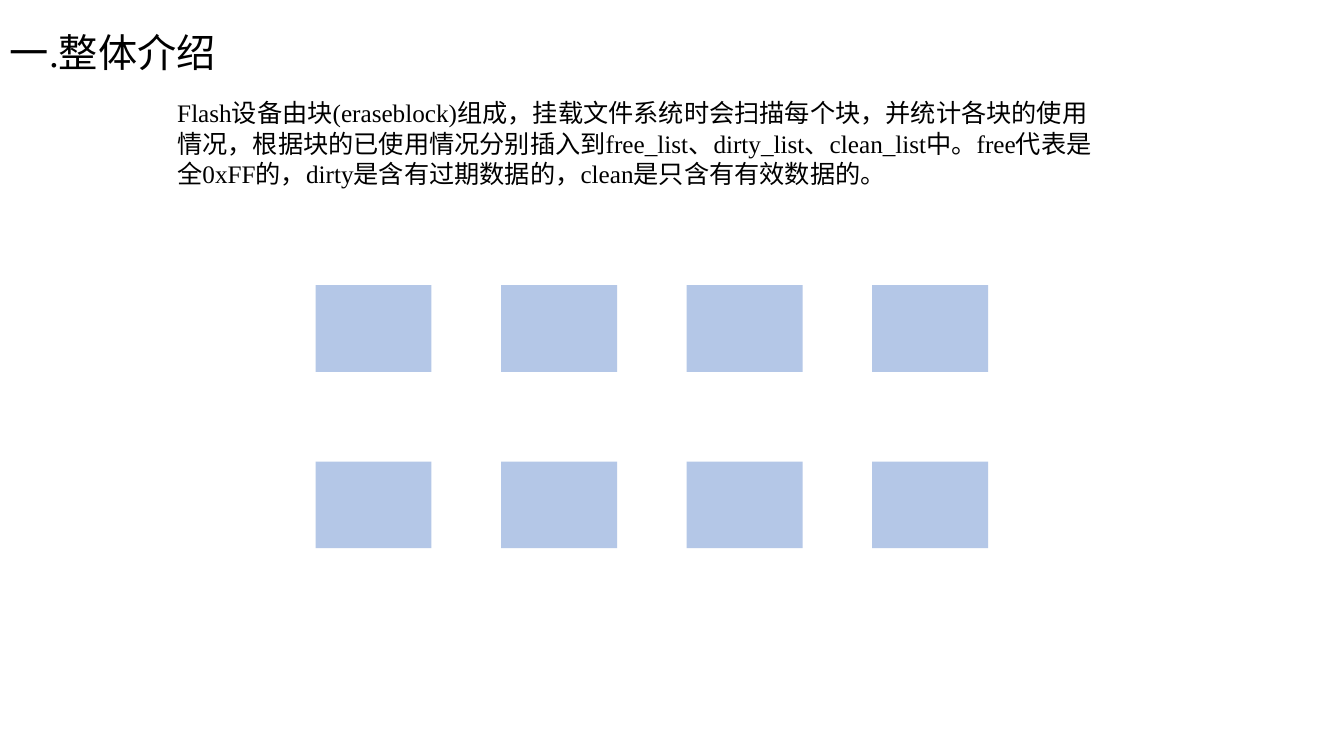
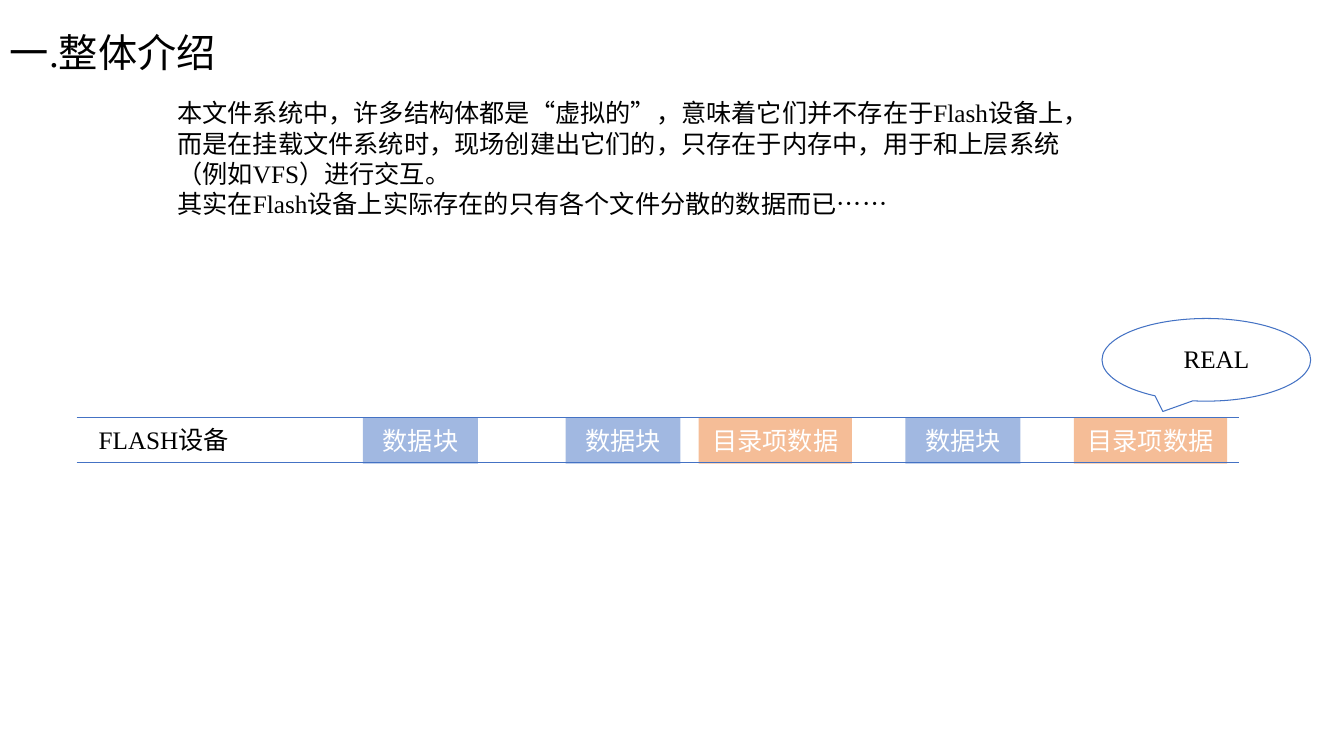
from lxml.etree import SubElement
from pptx import Presentation
from pptx.dml.color import RGBColor
from pptx.enum.lang import MSO_LANGUAGE_ID
from pptx.enum.shapes import MSO_CONNECTOR, MSO_SHAPE
from pptx.enum.text import MSO_ANCHOR, PP_ALIGN
from pptx.oxml.ns import qn
from pptx.util import Inches, Pt

FONT = "Times New Roman"
BLACK = "000000"
WHITE = "FFFFFF"
BLUE = "4472C4"
PALE_BLUE = "B4C7E7"
ORANGE = "ED7D31"
TITLE = "一.整体介绍"
BODY_SIZE = 18

ERASEBLOCKS = (
    "Flash设备由块(eraseblock)组成，挂载文件系统时会扫描每个块，并统计各块的使用情况，"
    "根据块的已使用情况分别插入到free_list、dirty_list、clean_list中。"
    "free代表是全0xFF的，dirty是含有过期数据的，clean是只含有有效数据的。"
)
VIRTUAL_STRUCTURES = (
    "本文件系统中，许多结构体都是“虚拟的”，意味着它们并不存在于Flash设备上，"
    "而是在挂载文件系统时，现场创建出它们的，只存在于内存中，用于和上层系统（例如VFS）进行交互。\n"
    "其实在Flash设备上实际存在的只有各个文件分散的数据而已……"
)

STRIP_TOP = 4.14
STRIP_BOTTOM = 4.59
DATA_LEFTS = (3.6, 5.61, 8.98)
ENTRY_LEFTS = (6.93, 10.65)


def color(value):
    return RGBColor.from_string(value)


def write(shape, text, size=BODY_SIZE, ink=BLACK, align=PP_ALIGN.LEFT, anchor=MSO_ANCHOR.TOP):
    frame = shape.text_frame
    frame.word_wrap = True
    frame.vertical_anchor = anchor
    frame.text = text
    for paragraph in frame.paragraphs:
        paragraph.alignment = align
        for span in paragraph.runs:
            span.font.name = FONT
            span.font.size = Pt(size)
            span.font.color.rgb = color(ink)
            span.font.language_id = MSO_LANGUAGE_ID.SIMPLIFIED_CHINESE


def add_text(page, text, left, top, width, height, **style):
    box = page.shapes.add_textbox(Inches(left), Inches(top), Inches(width), Inches(height))
    write(box, text, **style)
    return box


def add_block(page, left, top, width, height, fill, opacity=100):
    block = page.shapes.add_shape(
        MSO_SHAPE.RECTANGLE, Inches(left), Inches(top), Inches(width), Inches(height)
    )
    block.shadow.inherit = False
    block.fill.solid()
    block.fill.fore_color.rgb = color(fill)
    block.line.fill.background()
    if opacity < 100:
        tint = block.fill._xPr.find(qn("a:solidFill")).find(qn("a:srgbClr"))
        SubElement(tint, qn("a:alpha")).set("val", str(opacity * 1000))
    return block


def add_strip_block(page, text, left, width, fill):
    block = add_block(page, left, STRIP_TOP, width, 0.46, fill, opacity=50)
    write(block, text, ink=WHITE, align=PP_ALIGN.CENTER, anchor=MSO_ANCHOR.MIDDLE)


def add_rule(page, top):
    rule = page.shapes.add_connector(
        MSO_CONNECTOR.STRAIGHT, Inches(0.76), Inches(top), Inches(12.29), Inches(top)
    )
    rule.line.color.rgb = color(BLUE)
    rule.line.width = Pt(0.5)
    SubElement(rule._element.spPr, qn("a:effectLst"))


def add_callout(page, text):
    callout = page.shapes.add_shape(
        MSO_SHAPE.OVAL_CALLOUT, Inches(10.93), Inches(3.16), Inches(2.07), Inches(0.82)
    )
    callout.shadow.inherit = False
    callout.fill.background()
    callout.line.color.rgb = color(BLUE)
    callout.line.width = Pt(0.75)
    add_text(page, text, 11.64, 3.36, 1.45, 0.4)


def add_page(deck, body):
    page = deck.slides.add_slide(deck.slide_layouts[6])
    title = add_text(page, TITLE, 0, 0, 3.22, 1.09, size=28, anchor=MSO_ANCHOR.MIDDLE)
    title.text_frame.paragraphs[0].line_spacing = 0.9
    add_text(page, body, 1.66, 0.92, 9.36, 1.31)
    return page


def add_eraseblock_grid(page):
    for row in range(2):
        for column in range(4):
            add_block(page, 3.13 + 1.84 * column, 2.83 + 1.75 * row, 1.15, 0.86, PALE_BLUE)


def add_flash_strip(page):
    for left in DATA_LEFTS:
        add_strip_block(page, "数据块", left, 1.14, BLUE)
    for left in ENTRY_LEFTS:
        add_strip_block(page, "目录项数据", left, 1.52, ORANGE)
    for top in (STRIP_TOP, STRIP_BOTTOM):
        add_rule(page, top)
    add_text(page, "FLASH设备", 0.88, 4.16, 1.85, 0.4)


def main():
    deck = Presentation()
    deck.slide_width = Inches(13.33)
    deck.slide_height = Inches(7.5)
    add_eraseblock_grid(add_page(deck, ERASEBLOCKS))
    page = add_page(deck, VIRTUAL_STRUCTURES)
    add_flash_strip(page)
    add_callout(page, "REAL")
    deck.save("out.pptx")


if __name__ == "__main__":
    main()
